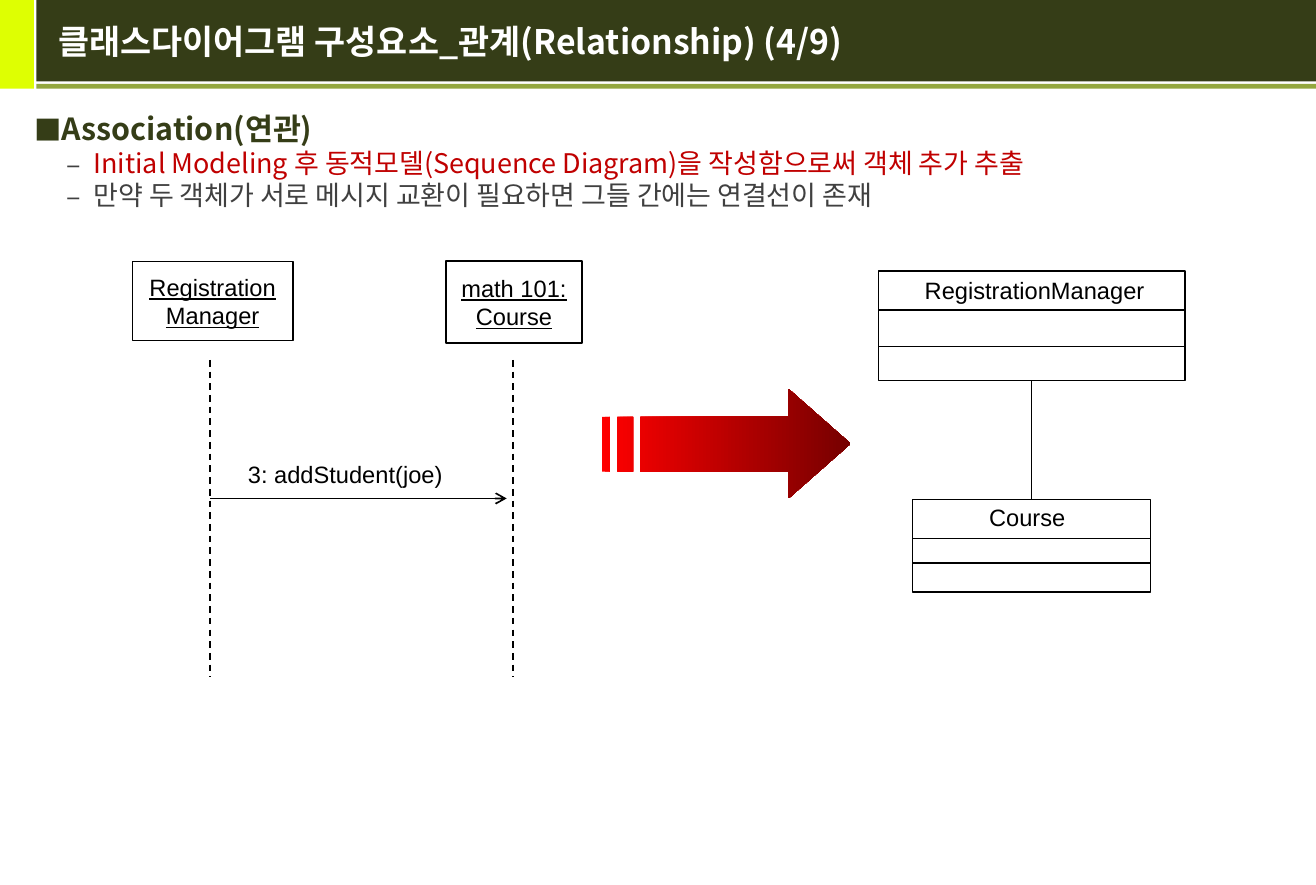
from dataclasses import dataclass
from itertools import chain

from lxml.etree import SubElement
from pptx import Presentation
from pptx.dml.color import RGBColor
from pptx.enum.dml import MSO_LINE
from pptx.enum.shapes import MSO_CONNECTOR, MSO_SHAPE
from pptx.enum.text import MSO_ANCHOR, MSO_AUTO_SIZE, PP_ALIGN
from pptx.oxml.ns import qn
from pptx.util import Inches, Pt

UNIT = 0.1  # inches per grid column and row
WIDE, HIGH = 108.3, 72.8
SANS, HANGUL = "Arial", "Noto Sans CJK KR"
BLACK, WHITE, OLIVE, GRAY, RED = "000000", "FFFFFF", "353D17", "404040", "C00000"


@dataclass
class Box:
    col: float
    row: float
    wide: float
    high: float


@dataclass
class Bar:
    box: Box
    fill: str


@dataclass
class Life:
    """An object of the sequence diagram with its lifeline column."""
    lines: list[str]
    box: Box
    col: float


@dataclass
class Model:
    """A class of the class diagram with the rows of its dividers."""
    name: str
    box: Box
    label: Box
    rows: list[float]


@dataclass
class Item:
    text: str
    level: int
    mark: str
    size: float
    color: str
    left: float
    hang: float
    gap: float


BARS = [
    Bar(Box(0, 0, 2.8, 7.3), "DEFF02"),
    Bar(Box(3, 0, WIDE - 3, 6.7), OLIVE),
    Bar(Box(3, 6.9, WIDE - 3, 0.4), "93A73F"),
]
ITEMS = [
    Item("Association(연관)", 0, "■", 18, OLIVE, 2, 2, 0),
    Item("Initial Modeling 후 동적모델(Sequence Diagram)을 작성함으로써 객체 추가 추출",
         1, "–", 16, RED, 4.9, 2.2, 1.7),
    Item("만약 두 객체가 서로 메시지 교환이 필요하면 그들 간에는 연결선이 존재",
         1, "–", 16, GRAY, 4.9, 2.2, 1.7),
]
LIVES = [
    Life(["Registration", "Manager"], Box(10.9, 21.5, 13.2, 6.5), 17.3),
    Life(["math 101:", "Course"], Box(36.7, 21.5, 11.2, 6.7), 42.2),
]
MODELS = [
    Model("RegistrationManager", Box(72.3, 22.3, 25.2, 9),
          Box(76.1, 22.7, 20.9, 2.5), [25.5, 28.5]),
    Model("Course", Box(75.1, 41.1, 19.6, 7.6),
          Box(81.4, 41.4, 7, 2.5), [44.3, 46.3]),
]
STRIPES = [(49.5, 50.2), (50.8, 52.1)]
HEAD = [(64.9, 32), (64.9, 34.3), (52.7, 34.3), (52.7, 38.8),
        (64.9, 38.8), (64.9, 41), (70, 36.5)]


def grid(*cells: float) -> list[int]:
    return [Inches(cell * UNIT) for cell in cells]


def place(box: Box) -> list[int]:
    return grid(box.col, box.row, box.wide, box.high)


def tint(code: str) -> RGBColor:
    return RGBColor.from_string(code)


def dress(thing, **values) -> None:
    for key, value in values.items():
        setattr(thing, key, value)


def write(para, text: str, face: str, size: float, color: str, **values) -> None:
    run = para.add_run()
    run.text = text
    dress(run.font, name=face, size=Pt(size), **values)
    run.font.color.rgb = tint(color)
    SubElement(run.font._element, qn("a:ea"), typeface=face)


def rect(shapes, box: Box, fill: str = "", line: str = ""):
    shape = shapes.add_shape(MSO_SHAPE.RECTANGLE, *place(box))
    shape.shadow.inherit = False
    if fill:
        shape.fill.solid()
        shape.fill.fore_color.rgb = tint(fill)
    else:
        shape.fill.background()
    if line:
        shape.line.color.rgb = tint(line)
        shape.line.width = Pt(1)
    else:
        shape.line.fill.background()
    return shape


def link(shapes, start: tuple, end: tuple, width: float = 1):
    line = shapes.add_connector(MSO_CONNECTOR.STRAIGHT, *grid(*start, *end))
    line.line.color.rgb = tint(BLACK)
    line.line.width = Pt(width)
    SubElement(line.element.spPr, qn("a:effectLst"))
    return line


def label(shapes, box: Box, text: str) -> None:
    frame = shapes.add_textbox(*place(box)).text_frame
    dress(frame, word_wrap=True, margin_left=0, margin_right=0,
          margin_top=0, margin_bottom=0)
    write(frame.paragraphs[0], text, SANS, 14, BLACK)


def header(slide) -> None:
    title = slide.shapes.title
    for bar in BARS:
        title.element.addprevious(rect(slide.shapes, bar.box, bar.fill).element)
    left, top, width, height = grid(3.8, 0, 103.2, 6.8)
    dress(title, left=left, top=top, width=width, height=height)
    dress(title.text_frame, vertical_anchor=MSO_ANCHOR.MIDDLE,
          auto_size=MSO_AUTO_SIZE.NONE)
    para = title.text_frame.paragraphs[0]
    para.alignment = PP_ALIGN.LEFT
    write(para, "클래스다이어그램 구성요소_관계(Relationship) (4/9)",
          HANGUL, 20, WHITE, bold=True)


def outline(body) -> None:
    left, top, width, height = grid(1.8, 8.9, 104.7, 62.2)
    dress(body, left=left, top=top, width=width, height=height)
    frame = body.text_frame
    frame.auto_size = MSO_AUTO_SIZE.NONE
    for num, item in enumerate(ITEMS):
        para = frame.add_paragraph() if num else frame.paragraphs[0]
        dress(para, level=item.level, line_spacing=0.9, space_before=Pt(item.gap))
        props = para._p.get_or_add_pPr()
        margin, hang = grid(item.left, -item.hang)
        props.set("marL", str(margin))
        props.set("indent", str(hang))
        tone = SubElement(props, qn("a:buClr"))
        SubElement(tone, qn("a:srgbClr"), val=GRAY if item.level else OLIVE)
        SubElement(props, qn("a:buSzPct"), val="100000" if item.level else "90000")
        SubElement(props, qn("a:buFont"), typeface=HANGUL)
        SubElement(props, qn("a:buChar"), char=item.mark)
        write(para, item.text, HANGUL, item.size, item.color, bold=not item.level)


def sequence(shapes) -> None:
    for life in LIVES:
        frame = rect(shapes, life.box, line=BLACK).text_frame
        dress(frame, word_wrap=False, vertical_anchor=MSO_ANCHOR.MIDDLE)
        for num, text in enumerate(life.lines):
            para = frame.add_paragraph() if num else frame.paragraphs[0]
            para.alignment = PP_ALIGN.CENTER
            write(para, text, SANS, 14, BLACK, underline=True)
        line = link(shapes, (life.col, 29.6), (life.col, 55.7))
        line.line.dash_style = MSO_LINE.DASH
    call = link(shapes, (LIVES[0].col, 41), (LIVES[1].col - 0.5, 41))
    SubElement(call.line._get_or_add_ln(), qn("a:tailEnd"), type="arrow")
    label(shapes, Box(20.4, 37.8, 18, 2.7), "3: addStudent(joe)")


def classes(shapes) -> None:
    ends = []
    for model in MODELS:
        box = model.box
        ends.append(rect(shapes, box, line=BLACK))
        label(shapes, model.label, model.name)
        for row in model.rows:
            link(shapes, (box.col, row), (box.col + box.wide, row))
    tie = link(shapes, (84.9, 31.3), (84.9, 41.1), 0.75)
    tie.begin_connect(ends[0], 2)
    tie.end_connect(ends[1], 0)


def arrow(shapes) -> None:
    bands = [[(a, 34.3), (a, 38.8), (b, 38.8), (b, 34.3)] for a, b in STRIPES]
    paths = [[(round(x * 10), round(y * 10)) for x, y in path]
             for path in chain([HEAD], bands)]
    pen = shapes.build_freeform(*paths[0][0], scale=Inches(UNIT / 10))
    for num, path in enumerate(paths):
        if num:
            pen.move_to(*path[0])
        pen.add_line_segments(path[1:], close=True)
    shape = pen.convert_to_shape()
    shape.shadow.inherit = False
    shape.line.fill.background()
    shape.fill.gradient()
    shape.fill.gradient_angle = 0
    for stop, code in zip(shape.fill.gradient_stops, ("FF0000", "760000")):
        stop.color.rgb = tint(code)


def main() -> None:
    deck = Presentation()
    deck.slide_width, deck.slide_height = grid(WIDE, HIGH)
    slide = deck.slides.add_slide(deck.slide_layouts[1])
    header(slide)
    outline(slide.placeholders[1])
    sequence(slide.shapes)
    classes(slide.shapes)
    arrow(slide.shapes)
    deck.save("out.pptx")


if __name__ == "__main__":
    main()
